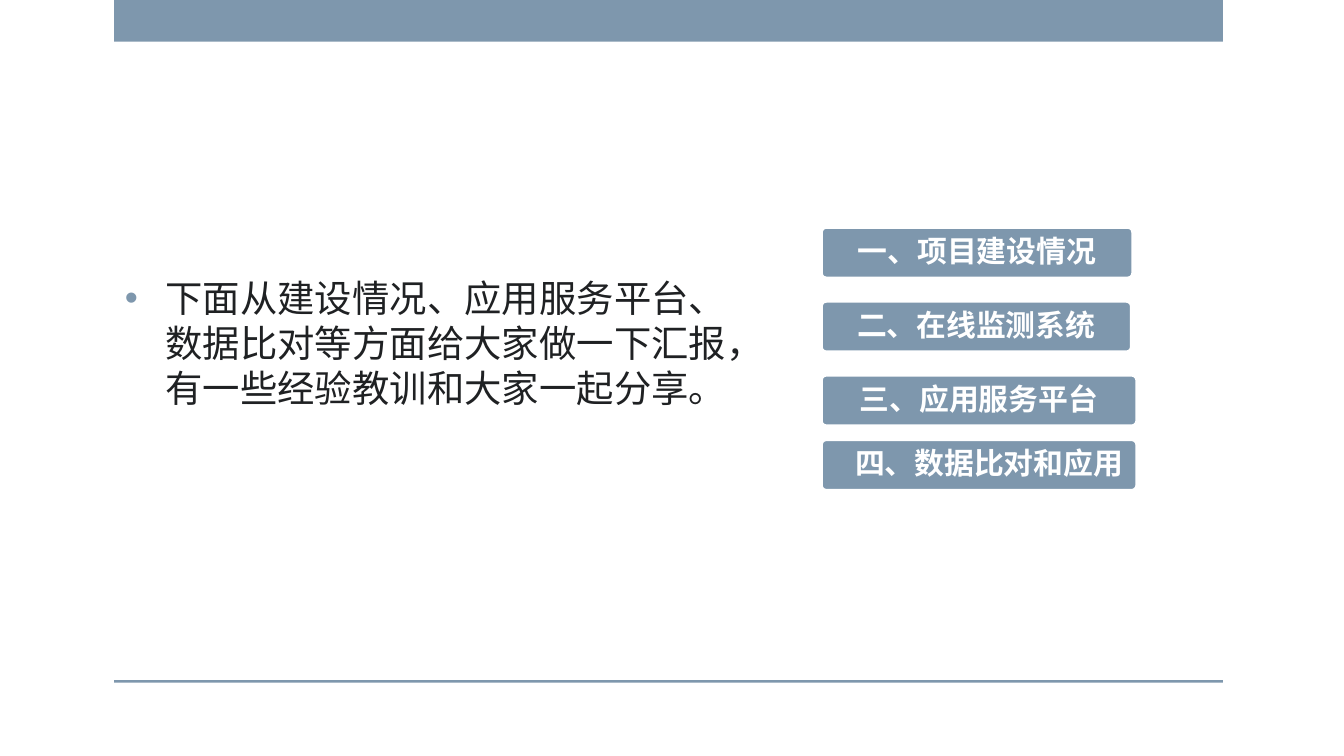
import pptx
import pptx.util
import pptx.dml.color
import pptx.enum.shapes
import pptx.enum.text
import pptx.oxml.ns
import lxml.etree
from dataclasses import dataclass

Inches, Pt = pptx.util.Inches, pptx.util.Pt
SHAPE = pptx.enum.shapes.MSO_SHAPE
ALIGN = pptx.enum.text.PP_ALIGN
ANCHOR = pptx.enum.text.MSO_ANCHOR
qn = pptx.oxml.ns.qn


@dataclass(frozen=True)
class Theme:
    accent: str = "7E97AD"
    ink: str = "1F2123"
    white: str = "FFFFFF"
    body_font: str = "Arial"
    label_font: str = "Noto Sans CJK SC"
    body_size: float = 20
    label_size: float = 16
    outline: float = 1.75


THEME = Theme()


def rgb(value):
    return pptx.dml.color.RGBColor.from_string(value)


def add_text(p, text, *, font, size, color, bold=False):
    """Add a formatted run, with the same typeface for East Asian text."""
    r = p.add_run()
    r.text = text
    r.font.name, r.font.size, r.font.bold = font, Pt(size), bold
    r.font.color.rgb = rgb(color)
    ea = lxml.etree.Element(qn("a:ea"), typeface=font)
    r.font._element.find(qn("a:latin")).addnext(ea)
    return r


def add_box(slide, kind, left, top, width, height, line=None):
    sp = slide.shapes.add_shape(
        kind, Inches(left), Inches(top), Inches(width), Inches(height))
    sp.shadow.inherit = False
    sp.fill.solid()
    sp.fill.fore_color.rgb = rgb(THEME.accent)
    if line:
        sp.line.color.rgb = rgb(line)
        sp.line.width = Pt(THEME.outline)
    else:
        sp.line.fill.background()
    return sp


def add_frame(slide, left, width):
    """Top band and bottom rule."""
    for top, height in ((0, 0.31), (5.06, 0.02)):
        add_box(slide, SHAPE.RECTANGLE, left, top, width, height)


def add_agenda(slide, left, top, height):
    """Stack of rounded labels: offset, width, left inset and wording."""
    items = (
        (0, 2.32, 0.02, "一、项目建设情况"),
        (0.55, 2.31, 0.02, "二、在线监测系统"),
        (1.1, 2.35, 0.02, "三、应用服务平台"),
        (1.58, 2.35, 0.17, "四、数据比对和应用"),
    )
    for offset, width, inset, text in items:
        sp = add_box(slide, SHAPE.ROUNDED_RECTANGLE, left, top + offset,
                     width, height, line=THEME.white)
        sp.adjustments[0] = 0.1
        tf = sp.text_frame
        tf.word_wrap = True
        tf.vertical_anchor = ANCHOR.MIDDLE
        tf.margin_left = Inches(inset)
        tf.margin_right = tf.margin_top = tf.margin_bottom = Inches(0.02)
        p = tf.paragraphs[0]
        p.alignment = ALIGN.CENTER
        p.line_spacing = 0.9
        p.space_after = Pt(2)
        add_text(p, text, font=THEME.label_font, size=THEME.label_size,
                 color=THEME.white, bold=True)


def add_intro(slide, left, top, width, height):
    """Bulleted introduction in the body placeholder."""
    sp = slide.placeholders[1]
    sp.left, sp.top = Inches(left), Inches(top)
    sp.width, sp.height = Inches(width), Inches(height)
    tf = sp.text_frame
    tf.word_wrap = True
    tf.auto_size = pptx.enum.text.MSO_AUTO_SIZE.NONE
    tf.vertical_anchor = ANCHOR.TOP
    p = tf.paragraphs[0]
    pPr = p._p.get_or_add_pPr()
    pPr.set("marL", str(Inches(0.3)))
    pPr.set("indent", str(-Inches(0.3)))
    color = lxml.etree.SubElement(pPr, qn("a:buClr"))
    lxml.etree.SubElement(color, qn("a:srgbClr"), val=THEME.accent)
    lxml.etree.SubElement(pPr, qn("a:buFont"), typeface=THEME.body_font)
    lxml.etree.SubElement(pPr, qn("a:buChar"), char="•")
    p.alignment = ALIGN.LEFT
    p.space_before = Pt(0)
    p.line_spacing = Pt(24)
    add_text(p, "下面从建设情况、应用服务平台、数据比对等方面给大家做一下汇报，"
                "有一些经验教训和大家一起分享。",
             font=THEME.body_font, size=THEME.body_size, color=THEME.ink)


def main():
    prs = pptx.Presentation()
    prs.slide_width = Inches(10)
    prs.slide_height = prs.slide_width * 9 // 16
    slide = prs.slides.add_slide(prs.slide_layouts[1])
    title = slide.shapes.title._element
    title.getparent().remove(title)
    add_frame(slide, 0.85, 8.25)
    add_agenda(slide, 6.11, 1.69, 0.38)
    add_intro(slide, 0.83, 2, 4.88, 1.26)
    prs.save("out.pptx")


if __name__ == "__main__":
    main()
